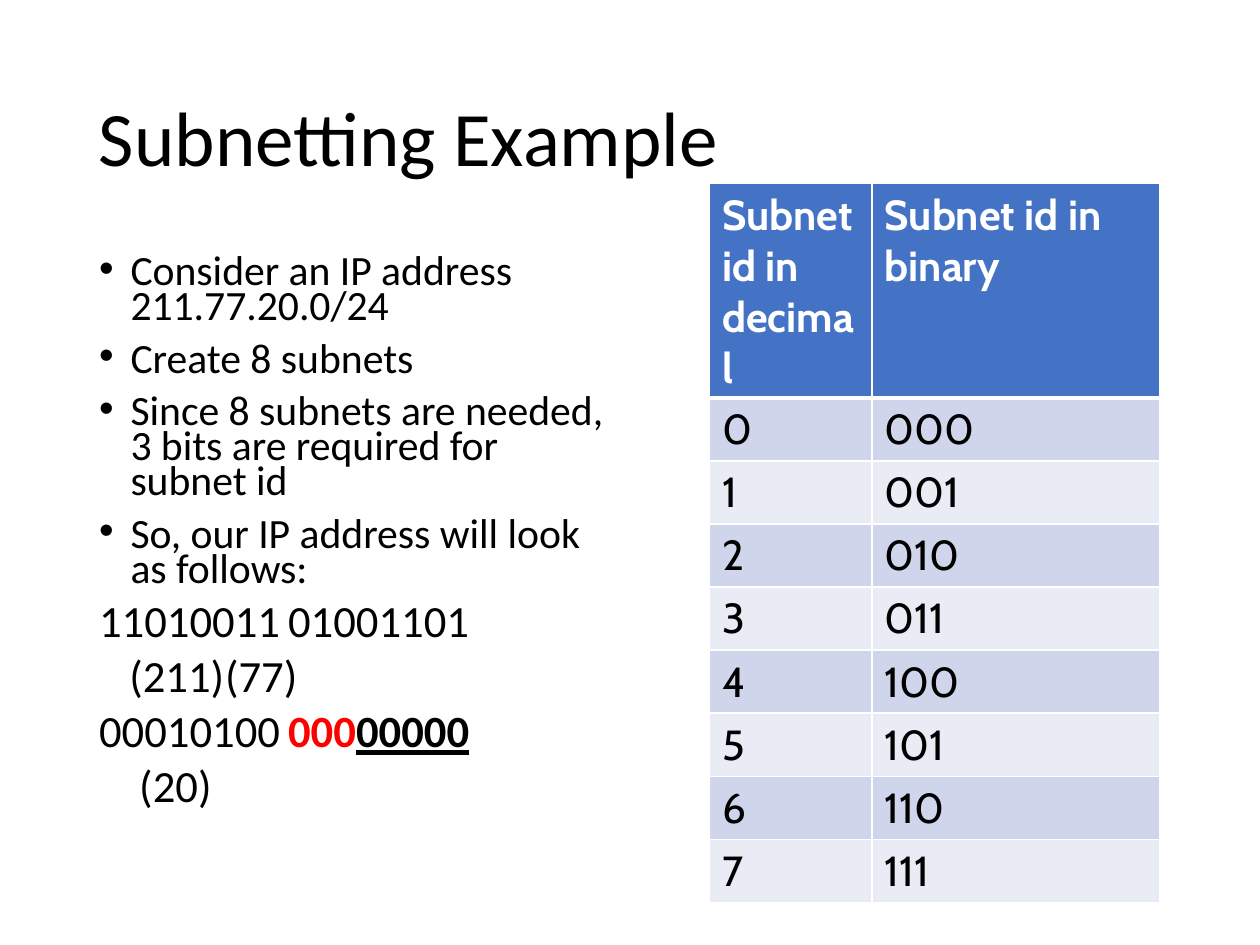
from lxml.etree import SubElement
from pptx import Presentation
from pptx.dml.color import RGBColor
from pptx.enum.text import MSO_ANCHOR as Anchor
from pptx.oxml.ns import qn
from pptx.util import Pt

BLACK = RGBColor(0x00, 0x00, 0x00)
WHITE = RGBColor(0xFF, 0xFF, 0xFF)
RED = RGBColor(0xFF, 0x00, 0x00)
BLUE = RGBColor(0x44, 0x72, 0xC4)
BAND_DARK = RGBColor(0xCF, 0xD5, 0xEA)
BAND_LIGHT = RGBColor(0xE9, 0xEB, 0xF5)

BULLETS = [
    "Consider an IP address 211.77.20.0/24",
    "Create 8 subnets",
    "Since 8 subnets are needed, 3 bits are required for subnet id",
    "So, our IP address will look as follows:",
]


def add_run(p, text, size=24, font="Calibri", color=BLACK, bold=False, underline=False):
    r = p.add_run()
    r.text = text
    f = r.font
    f.size, f.name, f.bold, f.underline = Pt(size), font, bold, underline
    f.color.rgb = color


def add_box(slide, box, anchor=Anchor.TOP):
    tf = slide.shapes.add_textbox(*map(Pt, box)).text_frame
    tf.word_wrap = True
    tf.vertical_anchor = anchor
    return tf


def add_paragraph(tf, spacing, margin=0, indent=0, bullet=None, tab=None):
    """Start a paragraph; lengths are in points."""
    first = not tf.paragraphs[0].runs
    p = tf.paragraphs[0] if first else tf.add_paragraph()
    pPr = p._p.get_or_add_pPr()
    pPr.set("marL", str(Pt(margin)))
    pPr.set("indent", str(Pt(indent)))
    if bullet:
        SubElement(pPr, qn("a:buFont"), typeface="Arial")
        SubElement(pPr, qn("a:buChar"), char=bullet)
    else:
        SubElement(pPr, qn("a:buNone"))
    if tab:
        tabs = SubElement(pPr, qn("a:tabLst"))
        SubElement(tabs, qn("a:tab"), pos=str(Pt(tab)), algn="l")
    p.line_spacing = spacing
    p.space_before = Pt(0 if first else 10)
    return p


def add_title(slide, box):
    tf = add_box(slide, box, Anchor.MIDDLE)
    add_run(add_paragraph(tf, 0.9), "Subnetting Example", size=44)


def add_body(slide, box):
    tf = add_box(slide, box)
    for text in BULLETS:
        p = add_paragraph(tf, 0.7, margin=18, indent=-18, bullet="•")
        add_run(p, text, size=23.8)

    # Address octets in binary, each with its decimal value below
    plain = {}
    octet_lines = [
        (0, 144, [("11010011\t01001101", plain)]),
        (17.3, 100.8, [("(211)\t(77)", plain)]),
        (0, 144, [("00010100\t", plain),
                  ("000", dict(color=RED, bold=True)),
                  ("00000", dict(bold=True, underline=True))]),
        (23, None, [("(20)", plain)]),
    ]
    for indent, tab, runs in octet_lines:
        p = add_paragraph(tf, 0.7, indent=indent, tab=tab)
        for text, style in runs:
            add_run(p, text, size=25.5, **style)


def set_borders(cell, **widths):
    tcPr = cell._tc.get_or_add_tcPr()
    for side in "LRTB":
        ln = SubElement(tcPr, qn(f"a:ln{side}"), w=str(Pt(widths.get(side, 1))))
        fill = SubElement(ln, qn("a:solidFill"))
        SubElement(fill, qn("a:srgbClr"), val=str(WHITE))


def add_subnet_table(slide, box, col_widths):
    rows = [("Subnet id in decimal", "Subnet id in binary")]
    rows += [(str(n), f"{n:03b}") for n in range(8)]
    table = slide.shapes.add_table(len(rows), 2, *map(Pt, box)).table
    for col, width in zip(table.columns, col_widths):
        col.width = Pt(width)
    for i, values in enumerate(rows):
        header = i == 0
        table.rows[i].height = Pt(29.5)  # rows grow to fit their text
        band = BLUE if header else (BAND_DARK if i % 2 else BAND_LIGHT)
        for j, text in enumerate(values):
            cell = table.cell(i, j)
            set_borders(cell, T=3 if i == 1 else 1, B=3 if header else 1)
            cell.fill.solid()
            cell.fill.fore_color.rgb = band
            add_run(cell.text_frame.paragraphs[0], text, font="Cabin",
                    color=WHITE if header else BLACK, bold=header)


def main():
    prs = Presentation()
    prs.slide_width, prs.slide_height = Pt(720), Pt(540)
    slide = prs.slides.add_slide(prs.slide_layouts[6])
    add_title(slide, (49.5, 28.75, 621, 104.4))
    add_body(slide, (49.5, 143.75, 306, 342.6))
    add_subnet_table(slide, (405.5, 105, 257, 265.5), (92.9, 164.1))
    prs.save("out.pptx")


if __name__ == "__main__":
    main()
